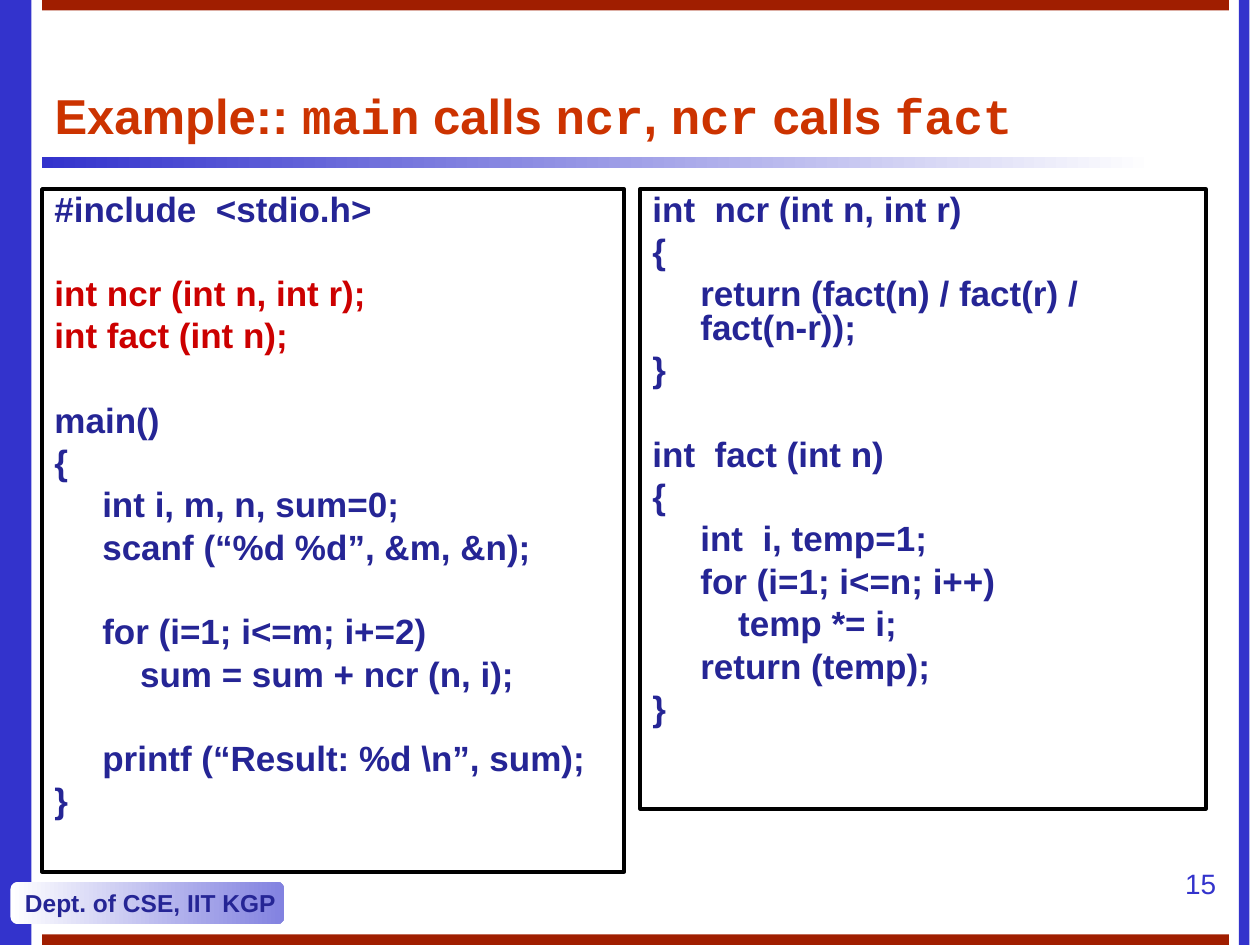
from pptx import Presentation
from pptx.dml.color import RGBColor
from pptx.enum.shapes import MSO_SHAPE
from pptx.enum.text import MSO_ANCHOR, PP_ALIGN
from pptx.util import Inches, Pt

RECT, ROUNDED = MSO_SHAPE.RECTANGLE, MSO_SHAPE.ROUNDED_RECTANGLE
TOP, MIDDLE = MSO_ANCHOR.TOP, MSO_ANCHOR.MIDDLE
LEFT, RIGHT = PP_ALIGN.LEFT, PP_ALIGN.RIGHT

BLUE = RGBColor(0x33, 0x33, 0xCC)
PALE_BLUE = RGBColor(0x82, 0x82, 0xE0)
NAVY = RGBColor(0x25, 0x25, 0x95)
BRICK = RGBColor(0xA0, 0x1E, 0x00)
ORANGE = RGBColor(0xCC, 0x33, 0x00)
RED = RGBColor(0xCC, 0x00, 0x00)
WHITE = RGBColor(0xFF, 0xFF, 0xFF)
BLACK = RGBColor(0x00, 0x00, 0x00)

WIDTH, HEIGHT = 10, 7.5
MARGIN = WIDTH / 30       # left edge of title, bars and first code panel
BAR = HEIGHT / 90         # thickness of the frame bars

deck = Presentation()
deck.slide_width, deck.slide_height = Inches(WIDTH), Inches(HEIGHT)
slide = deck.slides.add_slide(deck.slide_layouts[5])


def add_box(left, top, width, height, kind=RECT, fill=None, fade=None, line=None):
    """Add a shape with a solid fill, a left-to-right fade or an outline."""
    box = slide.shapes.add_shape(
        kind, Inches(left), Inches(top), Inches(width), Inches(height))
    box.shadow.inherit = False
    if fade:
        box.fill.gradient()
        box.fill.gradient_angle = 0
        for stop, color, position in zip(box.fill.gradient_stops, fade, (0, 1)):
            stop.color.rgb = color
            stop.position = position
    elif fill is not None:
        box.fill.solid()
        box.fill.fore_color.rgb = fill
    else:
        box.fill.background()
    if line is None:
        box.line.fill.background()
    else:
        box.line.color.rgb = line
        box.line.width = Pt(2)
    return box


def write(paragraph, text, size=20, color=NAVY, bold=True, font="Arial", align=LEFT):
    paragraph.alignment = align
    run = paragraph.add_run()
    run.text = text
    run.font.size, run.font.bold, run.font.name = Pt(size), bold, font
    run.font.color.rgb = color


# Frame: side bars, top and bottom bars, rule under the title
add_box(0, 0, WIDTH / 40, HEIGHT, fill=BLUE)
add_box(WIDTH - 2 * BAR, 0, BAR, HEIGHT, fill=BLUE)
for bar_top in (0, HEIGHT - BAR):
    add_box(MARGIN, bar_top, 9.42, BAR, fill=BRICK)
add_box(MARGIN, HEIGHT / 6, 8.83, BAR, fade=(BLUE, WHITE))

# Department badge
badge = add_box(BAR, 7, 2.17, HEIGHT / 22.5, kind=ROUNDED, fade=(WHITE, PALE_BLUE))
badge.text_frame.word_wrap = False
badge.text_frame.vertical_anchor = MIDDLE
write(badge.text_frame.paragraphs[0], "Dept. of CSE, IIT KGP", size=14)

# Page number
page = slide.shapes.add_textbox(Inches(9.17), Inches(6.83), Inches(0.58), Inches(0.5))
page.text_frame.word_wrap = True
write(page.text_frame.paragraphs[0], "15", size=16, color=BLUE, bold=False, align=RIGHT)

# Title: prose in Arial alternates with function names in Courier New
title = slide.shapes.title
title.left, title.top = Inches(MARGIN), Inches(0.5)
title.width, title.height = Inches(9.42), Inches(0.83)
title.text_frame.vertical_anchor = MIDDLE
title_parts = ["Example:: ", "main", " calls ", "ncr", ", ", "ncr", " calls ", "fact"]
for index, part in enumerate(title_parts):
    write(title.text_frame.paragraphs[0], part, size=28, color=ORANGE,
          font="Courier New" if index % 2 else "Arial")

# Code panels: blocks of (indent level, line); a gap separates blocks
main_blocks = [
    [(0, "#include  <stdio.h>")],
    [(0, "int ncr (int n, int r);"), (0, "int fact (int n);")],
    [(0, "main()"), (0, "{"), (1, "int i, m, n, sum=0;"),
     (1, "scanf (“%d %d”, &m, &n);")],
    [(1, "for (i=1; i<=m; i+=2)"), (2, "sum = sum + ncr (n, i);")],
    [(1, "printf (“Result: %d \\n”, sum);"), (0, "}")],
]
function_blocks = [
    [(0, "int  ncr (int n, int r)"), (0, "{"),
     (1, "return (fact(n) / fact(r) / fact(n-r));"), (0, "}")],
    [(0, "int  fact (int n)"), (0, "{"), (1, "int  i, temp=1;"),
     (1, "for (i=1; i<=n; i++)"), (2, "temp *= i;"), (1, "return (temp);"), (0, "}")],
]
prototypes = main_blocks[1]
INDENTS = (0, 0.38, 0.68)
LINE_GAP, BLOCK_GAP = 5, 29

for left, width, height, blocks in (
        (MARGIN, 4.62, 5.42, main_blocks),
        (5.08, 4.49, 4.92, function_blocks)):
    code = add_box(left, HEIGHT / 5, width, height, line=BLACK).text_frame
    code.word_wrap = True
    code.vertical_anchor = TOP
    for block_index, block in enumerate(blocks):
        for line_index, (level, text) in enumerate(block):
            first = block_index == line_index == 0
            paragraph = code.paragraphs[0] if first else code.add_paragraph()
            paragraph.line_spacing = 0.8
            starts_block = block_index > 0 and line_index == 0
            paragraph.space_before = Pt(BLOCK_GAP if starts_block else LINE_GAP)
            # Left indent has no python-pptx property
            paragraph._p.get_or_add_pPr().set("marL", str(Inches(INDENTS[level])))
            write(paragraph, text, color=RED if block is prototypes else NAVY)

deck.save("out.pptx")
